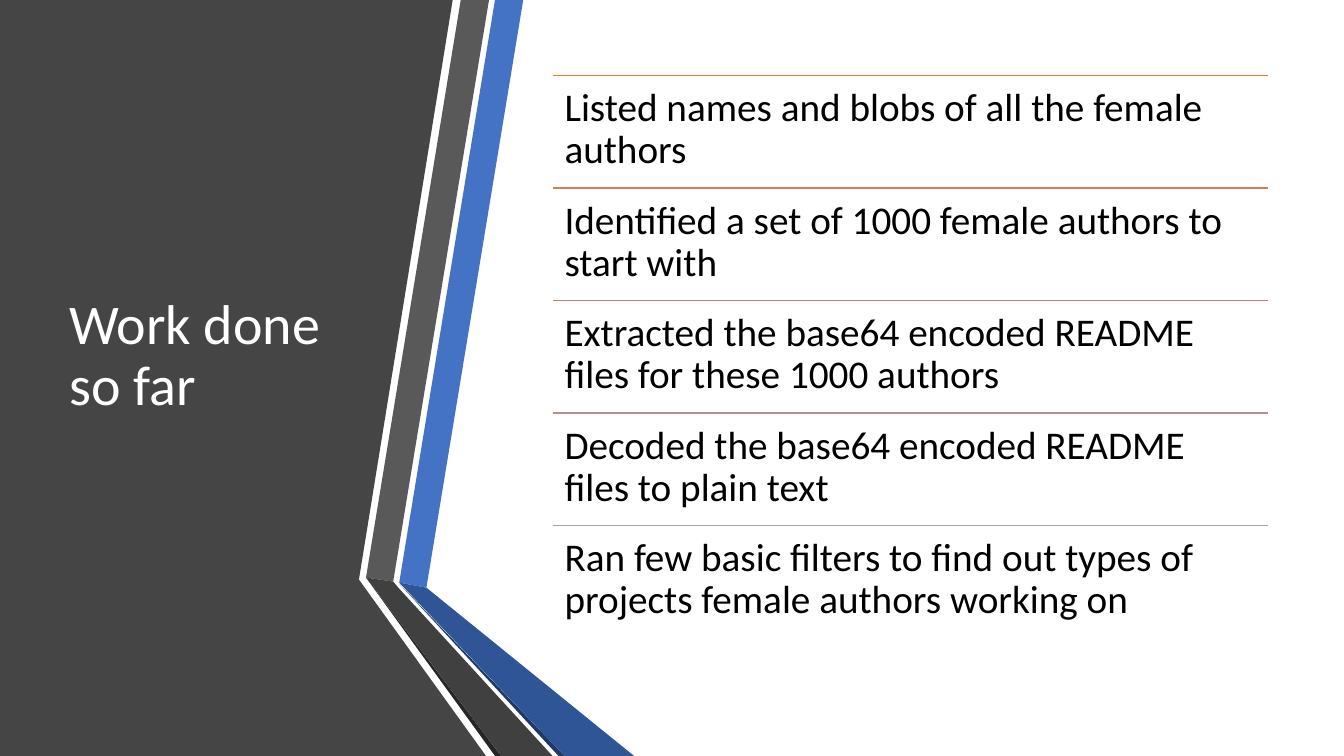
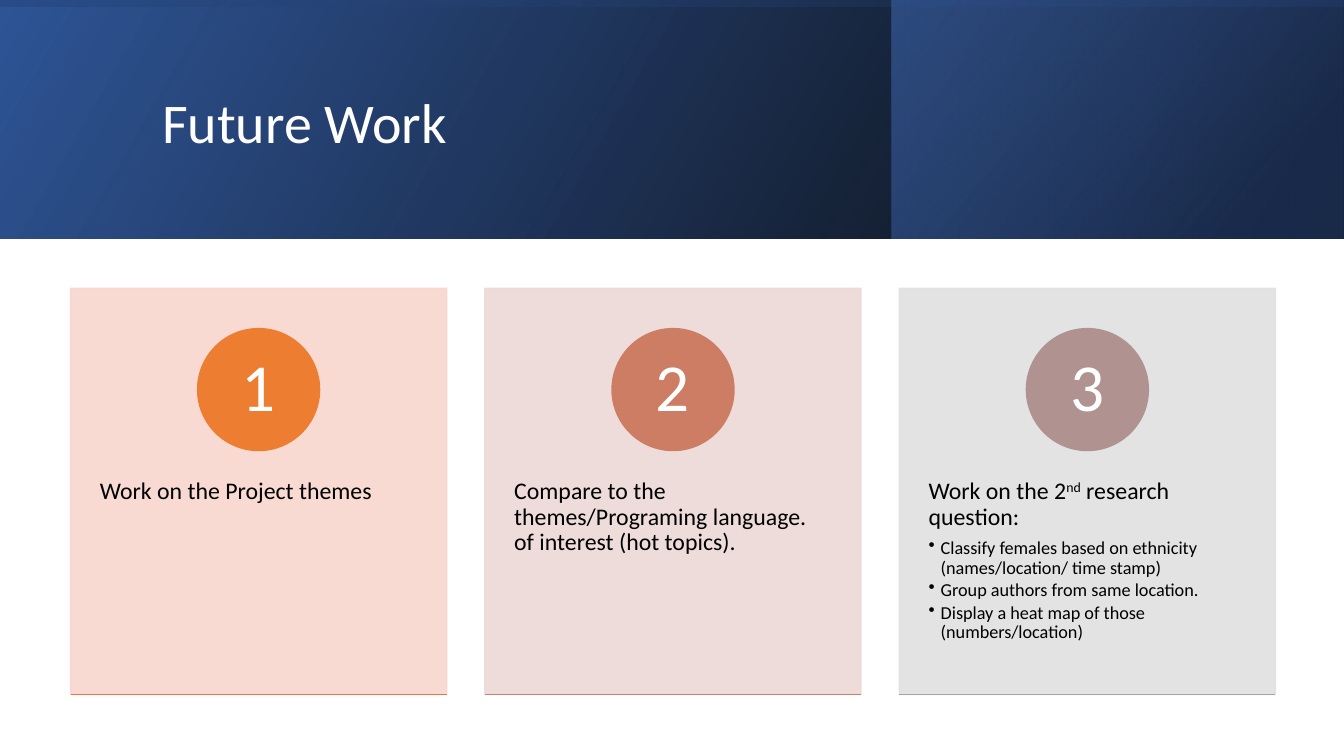
import pptx
import pptx.util
import pptx.dml.color
import pptx.enum.shapes
import pptx.enum.text
import pptx.oxml
import pptx.oxml.ns

Inches, Pt = pptx.util.Inches, pptx.util.Pt
RGBColor = pptx.dml.color.RGBColor
SHAPES = pptx.enum.shapes.MSO_SHAPE
STRAIGHT = pptx.enum.shapes.MSO_CONNECTOR.STRAIGHT
ANCHOR = pptx.enum.text.MSO_ANCHOR
ALIGN = pptx.enum.text.PP_ALIGN
qn = pptx.oxml.ns.qn

# Shared colours and text formats
WHITE = RGBColor(0xFF, 0xFF, 0xFF)
BLACK = RGBColor(0x00, 0x00, 0x00)
CHARCOAL = RGBColor(0x45, 0x45, 0x45)
GREY = RGBColor(0x59, 0x59, 0x59)
DARK_GREY = RGBColor(0x40, 0x40, 0x40)
DEEP_GREY = RGBColor(0x26, 0x26, 0x26)
LIGHT_GREY = RGBColor(0xA5, 0xA5, 0xA5)
BLUE = RGBColor(0x44, 0x72, 0xC4)
DARK_BLUE = RGBColor(0x2F, 0x55, 0x97)
NAVY = RGBColor(0x20, 0x38, 0x64)
ORANGE = RGBColor(0xED, 0x7D, 0x31)

TITLE_FONT = {"size": Pt(40)}
TITLE_FRAME = {"vertical_anchor": ANCHOR.MIDDLE}
WIDTH, HEIGHT = 13.33, 7.5


def write(frame, paragraphs, color, frame_format, font_format, para_format=None):
    """Fill a frame; each paragraph is a list of (text, baseline) spans."""
    frame.word_wrap = True
    for name, value in frame_format.items():
        setattr(frame, name, value)
    for index, spans in enumerate(paragraphs):
        para = frame.add_paragraph() if index or frame.text else frame.paragraphs[0]
        settings = {"line_spacing": 0.9, "alignment": ALIGN.LEFT}
        settings.update(para_format or {})
        for name, value in settings.items():
            setattr(para, name, value)
        for text, baseline in spans:
            span = para.add_run()
            span.text = text
            span.font.name = "Calibri"
            span.font.color.rgb = color
            for name, value in font_format.items():
                setattr(span.font, name, value)
            if baseline:
                span._r.get_or_add_rPr().set("baseline", str(baseline * 1000))


def paint(shape, fill=None, line=None):
    """Set fill and outline, and drop the theme shadow."""
    if fill is not None:
        shape.fill.solid()
        shape.fill.fore_color.rgb = fill
    if line is None:
        shape.line.fill.background()
    else:
        shape.line.color.rgb = line
        shape.line.width = Pt(1)
    properties = shape._element.spPr
    if properties.find(qn("a:effectLst")) is None:
        properties.append(pptx.oxml.parse_xml(
            f"<a:effectLst {pptx.oxml.ns.nsdecls('a')}/>"))


deck = pptx.Presentation()
deck.slide_width, deck.slide_height = Inches(WIDTH), Inches(HEIGHT)
blank = deck.slide_layouts[6]

# ---- Slide 1: work done so far ----
page = deck.slides.add_slide(blank)

# Side panel and the folded ribbons beside it
outlines = [
    (CHARCOAL, [(0, 0), (4.49, 0), (3.56, 5.75), (4.82, HEIGHT), (0, HEIGHT)]),
    (BLUE, [(3.96, 5.78), (4.23, 5.83), (5.19, 0), (4.91, 0)]),
    (GREY, [(4.85, 0), (4.57, 0), (3.63, 5.73), (3.9, 5.77)]),
    (DEEP_GREY, [(3.63, 5.73), (4.91, HEIGHT), (4.97, HEIGHT)]),
    (NAVY, [(3.96, 5.79), (5.54, HEIGHT), (5.6, HEIGHT)]),
    (DARK_BLUE, [(3.96, 5.78), (5.6, HEIGHT), (6.29, HEIGHT), (4.23, 5.83)]),
    (DARK_GREY, [(5.48, HEIGHT), (3.95, 5.83), (3.9, 5.77), (3.63, 5.73),
                 (4.97, HEIGHT)]),
]
for color, corners in outlines:
    points = [(Inches(x), Inches(y)) for x, y in corners]
    builder = page.shapes.build_freeform(*points[0])
    builder.add_line_segments(points[1:], close=True)
    paint(builder.convert_to_shape(), color)

# Title
box = page.shapes.add_textbox(Inches(0.59), Inches(0.75), Inches(3.04), Inches(5.58))
write(box.text_frame, [[("Work done so far", 0)]], WHITE, TITLE_FRAME, TITLE_FONT)

# Ruled list of steps
steps = [
    ("Listed names and blobs of all the female authors", ORANGE),
    ("Identified a set of 1000 female authors to start with",
     RGBColor(0xD8, 0x7A, 0x51)),
    ("Extracted the base64 encoded README files for these 1000 authors",
     RGBColor(0xC4, 0x81, 0x70)),
    ("Decoded the base64 encoded README files to plain text",
     RGBColor(0xB4, 0x90, 0x8B)),
    ("Ran few basic filters to find out types of projects female authors working on",
     LIGHT_GREY),
]
list_left, list_top, list_width = Inches(5.48), Inches(0.75), Inches(7.1)
row_height = Inches(5.58) // len(steps)
margins = ("margin_left", "margin_top", "margin_right", "margin_bottom")
step_frame = dict.fromkeys(margins, Inches(0.12))
for row, (text, color) in enumerate(steps):
    top = list_top + row * row_height
    rule = page.shapes.add_connector(STRAIGHT, list_left, top, list_left + list_width, top)
    paint(rule, line=color)
    box = page.shapes.add_textbox(list_left, top, list_width, row_height)
    write(box.text_frame, [[(text, 0)]], BLACK, step_frame, {"size": Pt(28)})

# ---- Slide 2: future work ----
page = deck.slides.add_slide(blank)

# Header band: layered translucent gradients, stops are (position, colour, alpha)
band = 2.37
turned = (WIDTH - band) / 2
layers = [
    ((0, 0, WIDTH, band), 0, 330, [(0, BLACK, 96), (100, DARK_BLUE, 100)]),
    ((8.84, 0, 4.48, band), 0, 320, [(19, NAVY, 68), (100, BLUE, 48)]),
    ((turned, -turned, band, WIDTH), 270, 350, [(23, DARK_BLUE, 16), (99, BLACK, 45)]),
]
for bounds, rotation, angle, stops in layers:
    shape = page.shapes.add_shape(SHAPES.RECTANGLE, *map(Inches, bounds))
    shape.rotation = rotation
    paint(shape)
    properties = shape._element.spPr
    properties.xfrm.set("flipH", "1")
    stop_list = "".join(
        f'<a:gs pos="{position * 1000}"><a:srgbClr val="{color}">'
        f'<a:alpha val="{alpha * 1000}"/></a:srgbClr></a:gs>'
        for position, color, alpha in stops)
    properties.insert(2, pptx.oxml.parse_xml(
        f'<a:gradFill {pptx.oxml.ns.nsdecls("a")} rotWithShape="1">'
        f'<a:gsLst>{stop_list}</a:gsLst>'
        f'<a:lin ang="{angle * 60000}" scaled="0"/></a:gradFill>'))

# Title
box = page.shapes.add_textbox(Inches(1.51), Inches(0.38), Inches(10.63), Inches(1.72))
write(box.text_frame, [[("Future Work", 0)]], WHITE, TITLE_FRAME, TITLE_FONT)

# Numbered cards: tint, circle colour, rule colour, heading spans, bullets
cards = [
    (RGBColor(0xF8, 0xD7, 0xCE), ORANGE, RGBColor(0xDC, 0x7A, 0x4B),
     [("Work on the Project themes", 0)], []),
    (RGBColor(0xED, 0xD9, 0xD7), RGBColor(0xCC, 0x7D, 0x64), RGBColor(0xBD, 0x86, 0x7B),
     [("Compare to the themes/Programing language. of interest (hot topics).", 0)], []),
    (RGBColor(0xE1, 0xE1, 0xE1), RGBColor(0xB0, 0x93, 0x91), LIGHT_GREY,
     [("Work on the 2", 0), ("nd", 30), (" research question:", 0)],
     ["Classify females based on ethnicity (names/location/ time stamp)",
      "Group authors from same location.",
      "Display a heat map of those (numbers/location)"]),
]
card_width, card_height, card_top = Inches(3.73), Inches(4.03), Inches(2.86)
card_pitch, circle_size = Inches(4.11), Inches(1.21)
card_frame = {"margin_left": Inches(0.29), "margin_right": Inches(0.29),
              "margin_top": Inches(1.89), "margin_bottom": Inches(0.36),
              "vertical_anchor": ANCHOR.TOP}
circle_frame = {**dict.fromkeys(margins, Inches(0.01)), **TITLE_FRAME}
for column, (tint, circle_color, rule_color, heading, bullets) in enumerate(cards):
    left = Inches(0.7) + column * card_pitch
    card = page.shapes.add_shape(SHAPES.RECTANGLE, left, card_top, card_width, card_height)
    paint(card, tint, tint)
    for color in card._element.spPr.iter(qn("a:srgbClr")):
        color.append(pptx.oxml.parse_xml(
            f'<a:alpha {pptx.oxml.ns.nsdecls("a")} val="90000"/>'))
    write(card.text_frame, [heading], BLACK, card_frame, {"size": Pt(17)},
          {"space_after": Pt(6)})
    write(card.text_frame, [[(text, 0)] for text in bullets], BLACK, {},
          {"size": Pt(13)}, {"space_after": Pt(2)})
    for para in card.text_frame.paragraphs[1:]:
        bullet = para._p.get_or_add_pPr()
        bullet.set("marL", str(Inches(0.12)))
        bullet.set("indent", str(-Inches(0.12)))
        bullet.append(pptx.oxml.parse_xml(
            f'<a:buChar {pptx.oxml.ns.nsdecls("a")} char="•"/>'))

    circle = page.shapes.add_shape(
        SHAPES.OVAL, left + (card_width - circle_size) // 2, Inches(3.26),
        circle_size, circle_size)
    paint(circle, circle_color, circle_color)
    write(circle.text_frame, [[(str(column + 1), 0)]], WHITE, circle_frame,
          {"size": Pt(48)}, {"alignment": ALIGN.CENTER})

    bottom = card_top + card_height
    rule = page.shapes.add_connector(STRAIGHT, left, bottom, left + card_width, bottom)
    paint(rule, line=rule_color)

deck.save("out.pptx")
